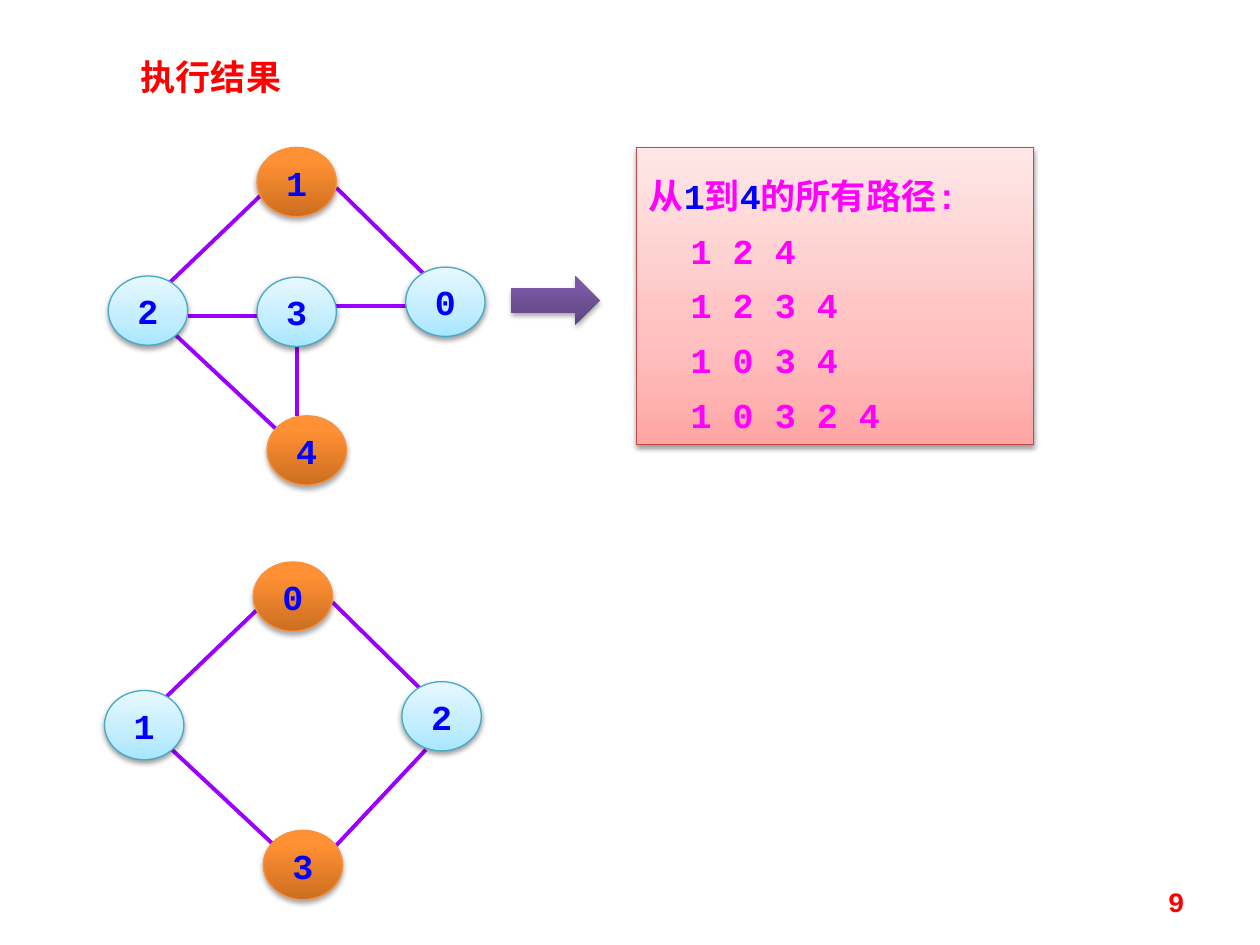
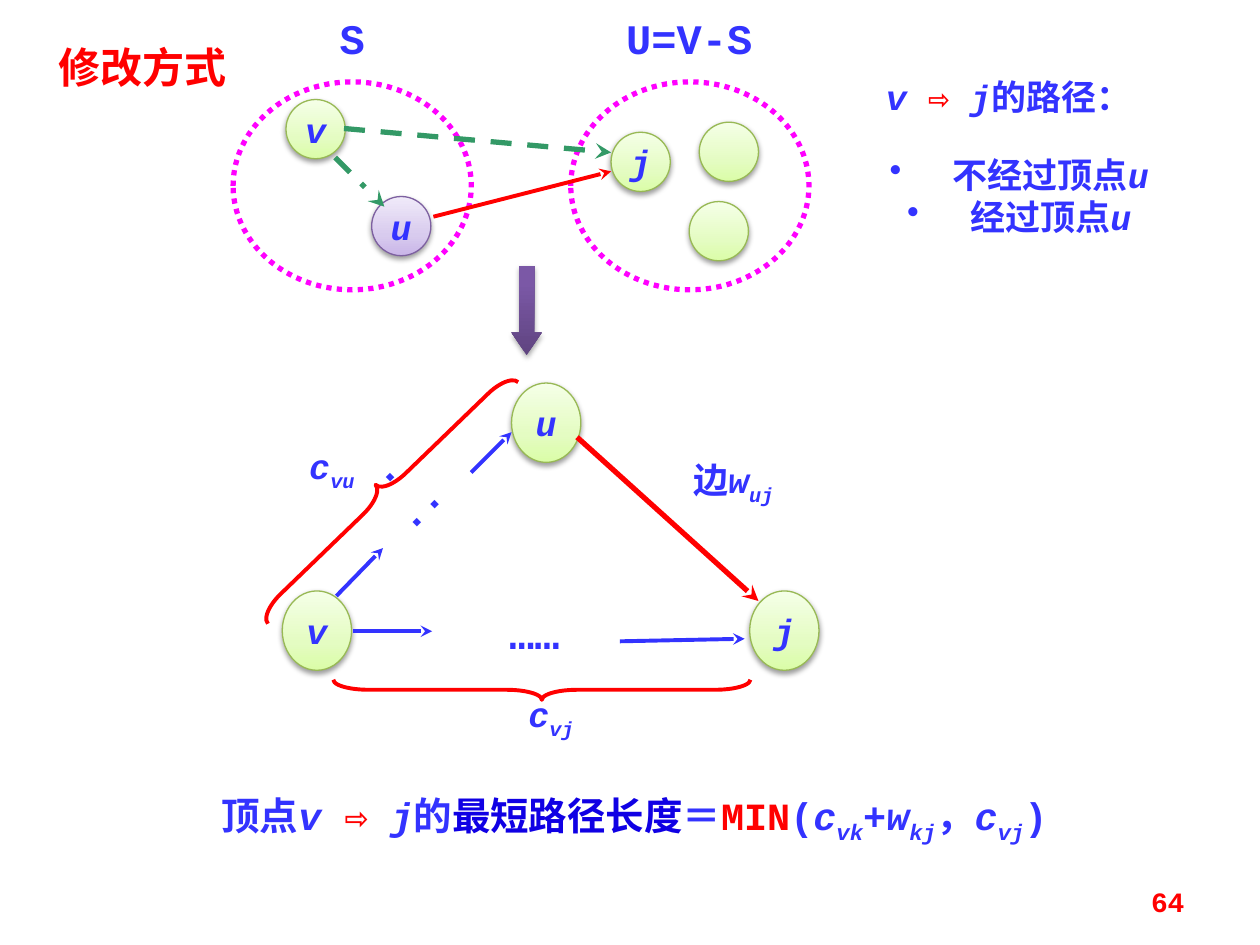
from pptx import Presentation
from pptx.dml.color import RGBColor
from pptx.enum.dml import MSO_LINE
from pptx.enum.shapes import MSO_CONNECTOR, MSO_SHAPE
from pptx.enum.text import MSO_ANCHOR, MSO_AUTO_SIZE, PP_ALIGN
from pptx.oxml.ns import qn
from pptx.util import Inches, Pt
from lxml import etree

# Enum members
LEFT, MID, RIGHT = PP_ALIGN.LEFT, PP_ALIGN.CENTER, PP_ALIGN.RIGHT
TOP, CENTER = MSO_ANCHOR.TOP, MSO_ANCHOR.MIDDLE
GROW, FIXED = MSO_AUTO_SIZE.SHAPE_TO_FIT_TEXT, MSO_AUTO_SIZE.NONE
DOT, DASH, MIXED = MSO_LINE.ROUND_DOT, MSO_LINE.DASH, MSO_LINE.DASH_DOT
OVAL, BOX = MSO_SHAPE.OVAL, MSO_SHAPE.RECTANGLE
STRAIGHT = MSO_CONNECTOR.STRAIGHT

# Colours
RED = RGBColor(0xFF, 0x00, 0x00)
BLUE = RGBColor(0x00, 0x00, 0xFF)
INK = RGBColor(0x33, 0x33, 0xFF)
DEEP = RGBColor(0x10, 0x00, 0xE4)
PINK = RGBColor(0xFF, 0x00, 0xFF)
VIOLET = RGBColor(0x99, 0x00, 0xFF)
GREEN = RGBColor(0x33, 0x99, 0x66)

# Looks: gradient stops from bottom to top, edge, shadow (alpha, distance)
SOFT, HARD = (38, 1.6), (35, 1.8)
ORANGE = ([(0, "CC6E20"), (80, "FF9034"), (100, "FF9136")],
          RGBColor(0xF6, 0x92, 0x40), HARD)
SKY = ([(0, "A7E6FF"), (35, "C1EDFF"), (100, "E7F8FF")],
       RGBColor(0x46, 0xAA, 0xC5), SOFT)
ROSE = ([(0, "FFA6A5"), (35, "FFC0BF"), (100, "FFE7E7")],
        RGBColor(0xBF, 0x4C, 0x48), SOFT)
LIME = ([(0, "DAFDA7"), (35, "E4FCC2"), (100, "F5FFE7")],
        RGBColor(0x98, 0xB9, 0x55), SOFT)
LILAC = ([(0, "C9B5E8"), (35, "D8CBEE"), (100, "F0EAF9")],
         RGBColor(0x7D, 0x60, 0xA0), SOFT)
PLUM = ([(0, "5F4480"), (80, "7B58A6"), (100, "7C57A8")], None, HARD)

MONO, HAN = "Courier New", "Noto Sans CJK SC"
CELL = Inches(0.1)  # the slide is a grid of 100 columns by 75 rows


def grid(*counts):
    return [round(n * CELL) for n in counts]


def sub(parent, tag, **attrs):
    node = etree.SubElement(parent, qn(tag))
    for name, value in attrs.items():
        node.set(name, str(value))
    return node


class Deck:
    def __init__(self):
        self.prs = Presentation()
        self.prs.slide_width, self.prs.slide_height = grid(100, 75)

    def page(self, number):
        self.slide = self.prs.slides.add_slide(self.prs.slide_layouts[6])
        self.shapes = self.slide.shapes
        self.text((71.7, 69.5, 23.3, 4), [[(str(number),)]], 16, RED,
                  align=RIGHT, anchor=CENTER, fit=FIXED)

    # Text: a line is a list of runs (words, marks, colour); i italic, s subscript
    def fill(self, para, runs, size, color, align=MID, font=MONO):
        para.alignment = align
        for words, *more in runs:
            marks = more[0] if more else ""
            run = para.add_run()
            run.text = words
            run.font.size, run.font.bold = Pt(size), True
            run.font.italic = "i" in marks
            run.font.name = font
            run.font.color.rgb = more[1] if len(more) > 1 else color
            props = run._r.get_or_add_rPr()
            sub(props, "a:ea", typeface=HAN)
            if "s" in marks:
                props.set("baseline", "-25000")

    def lines(self, frame, rows, size, color, **style):
        paras = []
        for i, runs in enumerate(rows):
            para = frame.add_paragraph() if i else frame.paragraphs[0]
            self.fill(para, runs, size, color, **style)
            paras.append(para)
        return paras

    def text(self, spot, rows, size=20, color=INK, anchor=TOP, fit=GROW,
             pad=True, turn=0, bullet=False, **style):
        box = self.shapes.add_textbox(*grid(*spot))
        box.rotation = turn
        frame = box.text_frame
        frame.word_wrap, frame.auto_size = True, fit
        frame.vertical_anchor = anchor
        if not pad:
            frame.margin_left = frame.margin_right = 0
            frame.margin_top = frame.margin_bottom = 0
        for para in self.lines(frame, rows, size, color, **style):
            if bullet:
                props = para._p.get_or_add_pPr()
                props.set("marL", str(Inches(0.5)))
                props.set("indent", str(-Inches(0.5)))
                sub(props, "a:buChar", char="•")

    def title(self, spot, words, size, align):
        self.text(spot, [[(words,)]], size, RED, align=align, font=HAN)

    # Filled shape with gradient and shadow
    def solid(self, kind, spot, look):
        stops, edge, (alpha, drop) = look
        shape = self.shapes.add_shape(kind, *grid(*spot))
        shape.fill.gradient()
        shape.fill.gradient_angle = 90
        props = shape._element.spPr
        ramp = props.find(".//" + qn("a:gsLst"))
        for old in list(ramp):
            ramp.remove(old)
        for place, tone in stops:
            stop = sub(ramp, "a:gs", pos=place * 1000)
            sub(stop, "a:srgbClr", val=tone)
        if edge is None:
            shape.line.fill.background()
        else:
            shape.line.color.rgb, shape.line.width = edge, Pt(0.75)
        shape.shadow.inherit = False
        shade = sub(props.find(qn("a:effectLst")), "a:outerShdw",
                    blurRad=Pt(3.1), dist=Pt(drop), dir=90 * 60000,
                    rotWithShape=0)
        black = sub(shade, "a:srgbClr", val="000000")
        sub(black, "a:alpha", val=alpha * 1000)
        return shape

    def node(self, spot, label, look, color=INK, marks="i"):
        frame = self.solid(OVAL, spot, look).text_frame
        frame.word_wrap, frame.vertical_anchor = False, CENTER
        if label:
            self.fill(frame.paragraphs[0], [(label, marks)], 20, color)

    # Shape with an outline only
    def outline(self, kind, spot, color, width, dash=None, turn=0, bend=None):
        shape = self.shapes.add_shape(kind, *grid(*spot))
        shape.fill.background()
        shape.shadow.inherit = False
        shape.line.color.rgb, shape.line.width = color, Pt(width)
        if dash:
            shape.line.dash_style = dash
        shape.rotation = turn
        if bend:
            shape.adjustments[0] = bend

    def link(self, ends, color, width=2.25, dash=None, head=True):
        line = self.shapes.add_connector(STRAIGHT, *grid(*ends))
        line.line.color.rgb, line.line.width = color, Pt(width)
        if dash:
            line.line.dash_style = dash
        props = line._element.spPr
        if head:
            sub(props.find(qn("a:ln")), "a:tailEnd", type="stealth")
        sub(props, "a:effectLst")

    # Graph of ringed nodes, moved by (dx, dy)
    def graph(self, dx, dy, nodes, extra):
        ring = [(26.7, 14.9, 33.8, 21.9), (13.2, 25.9, 22.4, 34.5),
                (20.7, 15.5, 13.5, 22.4)]
        for a, b, c, d in ring + extra:
            self.link((a + dx, b + dy, c + dx, d + dy), VIOLET, head=False)
        for label, (x, y), look in nodes:
            self.node((x + dx, y + dy, 6.3, 5.5), label, look, BLUE, "")


def paths(deck):
    deck.page(9)
    deck.title((10.2, 3.9, 25, 4.4), "执行结果", 20, LEFT)

    # Two graphs on the same four corners
    north, west, east, south = (20.4, 11.7), (8.6, 21.9), (32.2, 21.2), (21.2, 33)
    deck.graph(0, 0,
               [("1", north, ORANGE), ("3", (20.4, 22), SKY), ("2", west, SKY),
                ("4", south, ORANGE), ("0", east, SKY)],
               [(14.9, 25.1, 21.2, 25.1), (23.6, 27.5, 23.6, 33),
                (26.7, 24.3, 33, 24.3)])
    deck.graph(-0.3, 32.9,
               [("0", north, ORANGE), ("1", west, SKY),
                ("3", south, ORANGE), ("2", east, SKY)],
               [(34.1, 26.6, 26.7, 34.5)])

    # Result panel
    panel = deck.solid(BOX, (50.5, 11.7, 31.5, 23.6), ROSE).text_frame
    panel.word_wrap, panel.auto_size = True, GROW
    panel.vertical_anchor = TOP
    head = [("从",), ("1", "", BLUE), ("到",), ("4", "", BLUE), ("的所有路径:",)]
    routes = ["1 2 4", "1 2 3 4", "1 0 3 4", "1 0 3 2 4"]
    paras = deck.lines(panel, [head] + [[(r,)] for r in routes], 20, PINK,
                       align=LEFT)
    paras[0].line_spacing = 1.5
    for para in paras[1:]:
        para.line_spacing = 1.3
        para._p.get_or_add_pPr().set("marL", str(Pt(24)))
    deck.solid(MSO_SHAPE.RIGHT_ARROW, (40.6, 21.9, 7, 3.9), PLUM)


def update(deck):
    deck.page(64)
    deck.title((3.1, 2.8, 16.4, 5), "修改方式", 24, MID)
    step = [("v ", "i"), ("⇨ ", "", RED), ("j", "i")]

    # The two vertex sets
    for x, name, left, wide in [(18.5, "S", 24.8, 6.3), (45.3, "U=V-S", 49.2, 11)]:
        deck.outline(OVAL, (x, 6.5, 18.9, 16.5), PINK, 3, DOT)
        deck.text((left, 1, wide, 4), [[(name,)]], 24, pad=False)
    for x, y, label, look in [(22.7, 7.9, "v", LIME), (29.5, 15.6, "u", LILAC),
                              (54.7, 16, "", LIME), (48.5, 10.5, "j", LIME),
                              (55.5, 9.7, "", LIME)]:
        deck.node((x, y, 4.7, 4.7), label, look)
    deck.link((34.4, 17.2, 48.5, 13.6), RED)
    deck.link((27.3, 10.2, 48.5, 12.1), GREEN, 3, DASH)
    deck.link((26.6, 12.5, 30.5, 16.4), GREEN, 3, MIXED)

    # Triangle v, u, j
    for x, y, label in [(40.6, 30.4, "u"), (22.4, 46.9, "v"), (59.5, 46.9, "j")]:
        deck.node((x, y, 5.5, 6.3), label, LIME)
    deck.link((45.8, 34.7, 60.2, 47.7), RED, 3)
    for ends in [(26.7, 47.3, 30.4, 43.5), (37.4, 37.5, 40.6, 34.3),
                 (28, 50.1, 34.3, 50.1), (49.2, 50.9, 59.1, 50.7)]:
        deck.link(ends, INK)
    deck.text((31, 39, 7.1, 5), [[("...",)]], 24, turn=135)
    deck.text((37.3, 47.7, 10.2, 5), [[("……",)]], 24)
    deck.outline(MSO_SHAPE.LEFT_BRACE, (29.5, 25.4, 2, 27.6), RED, 2.25,
                 turn=46, bend=1.17)
    deck.outline(MSO_SHAPE.RIGHT_BRACE, (42.2, 38.2, 1.6, 33.1), RED, 2.25,
                 turn=90, bend=1.76)
    deck.text((23.2, 34.8, 6.3, 4.4), [[("c", "i"), ("vu", "is")]])
    deck.text((40.6, 54.5, 6.3, 4.4), [[("c", "i"), ("vj", "is")]])
    deck.text((51.5, 35.9, 13.4, 4.4), [[("边",), ("w", "i"), ("uj", "is")]])
    arrow = deck.solid(MSO_SHAPE.DOWN_ARROW, (40.6, 21.1, 2.4, 7.1), PLUM)
    arrow.adjustments[1] = 0.75

    # Kinds of route
    deck.text((66.4, 5.5, 27.3, 4.4), [step + [("的路径：",)]])
    deck.text((68, 11.7, 25.8, 9.4),
              [[(words,), ("u", "i")] for words in ("不经过顶点", "经过顶点")],
              bullet=True)

    # Formula
    deck.text((14.8, 62.4, 71.1, 4.7),
              [[("顶点",)] + step +
               [("的",), ("最短路径长度", "", DEEP), ("＝",), ("MIN", "", RED),
                ("(",), ("c", "i"), ("vk", "is"), ("+",), ("w", "i"),
                ("kj", "is"), ("，",), ("c", "i"), ("vj", "is"), (")",)]], 22)


def main():
    deck = Deck()
    paths(deck)
    update(deck)
    deck.prs.save("out.pptx")


if __name__ == "__main__":
    main()
